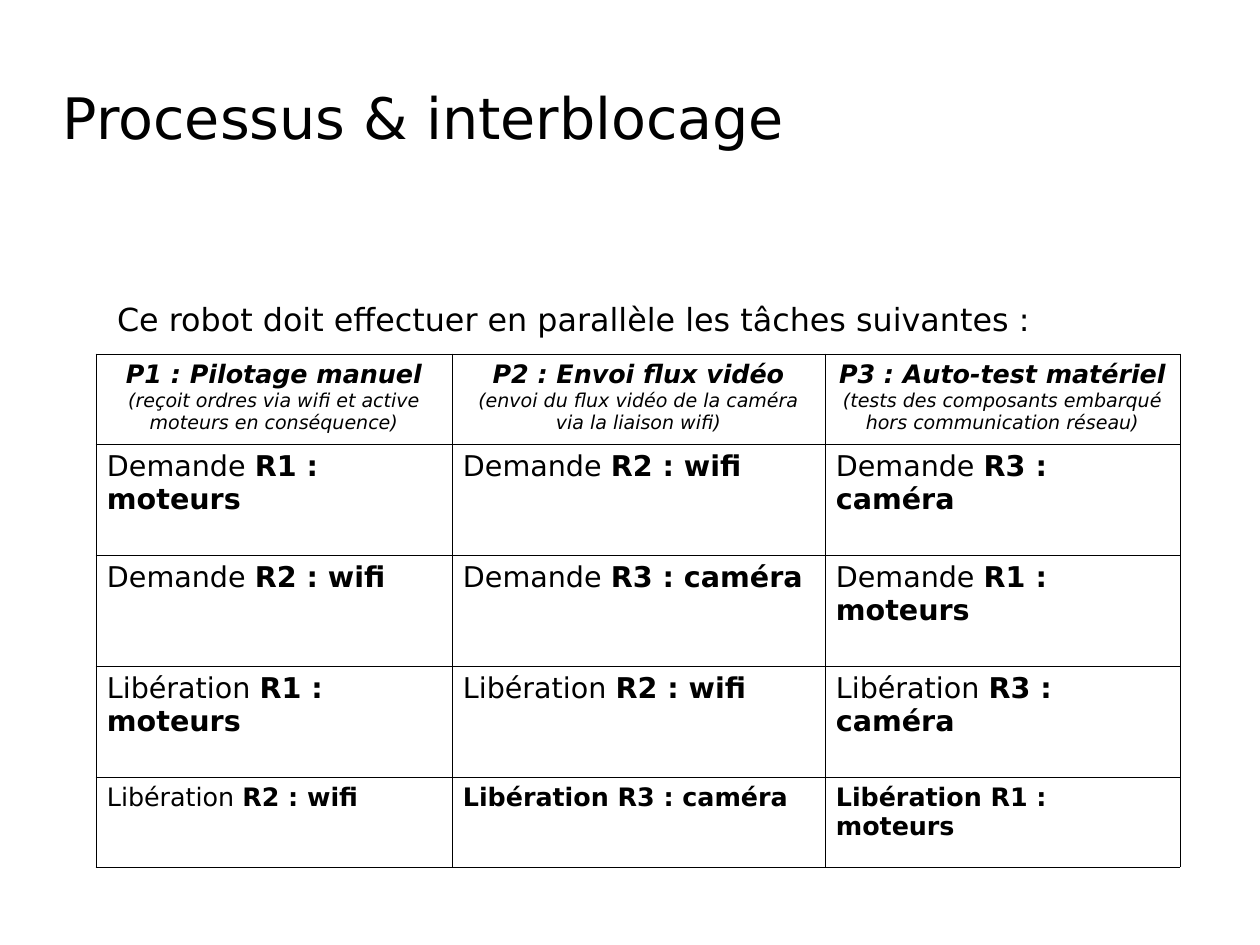
import pptx
import pptx.dml.color
import pptx.enum.text
import pptx.oxml
import pptx.oxml.ns
import pptx.util

PX = 8000
BLACK = pptx.dml.color.RGBColor(0, 0, 0)
WHITE = pptx.dml.color.RGBColor(255, 255, 255)
FONT = "DejaVu Sans"
ALIGN = pptx.enum.text.PP_ALIGN
ANCHOR = pptx.enum.text.MSO_ANCHOR
BORDER_WIDTH = pptx.util.Pt(0.57)

RESOURCES = {"R1": "R1 : moteurs", "R2": "R2 : wifi", "R3": "R3 : caméra"}
PROCESSES = [
    ("P1 : Pilotage manuel", "(reçoit ordres via wifi et active moteurs en conséquence)"),
    ("P2 : Envoi flux vidéo", "(envoi du flux vidéo de la caméra via la liaison wifi)"),
    ("P3 : Auto-test matériel", "(tests des composants embarqué hors communication réseau)"),
]
STEPS = [
    ("Demande ", ["R1", "R2", "R3"], 18, [False, False, False]),
    ("Demande ", ["R2", "R3", "R1"], 18, [False, False, False]),
    ("Libération ", ["R1", "R2", "R3"], 18, [False, False, False]),
    ("Libération ", ["R2", "R3", "R1"], 16, [False, True, True]),
]
COLUMN_WIDTHS = [356, 373, 355]
ROW_HEIGHTS = [90, 111, 111, 111, 90]


def px(length):
    return pptx.util.Emu(length * PX)


def write(para, text, size=18, bold=False, italic=False, color=BLACK):
    span = para.add_run()
    span.text = text
    span.font.name = FONT
    span.font.size = pptx.util.Pt(size)
    span.font.bold = bold
    span.font.italic = italic
    span.font.color.rgb = color


class Page:
    def __init__(self, deck):
        self.slide = deck.slides.add_slide(deck.slide_layouts[1])

    def place(self, box, left, top, width, height, anchor):
        box.left, box.top, box.width, box.height = map(px, (left, top, width, height))
        frame = box.text_frame
        frame.margin_left = frame.margin_top = frame.margin_right = frame.margin_bottom = 0
        frame.word_wrap = True
        frame.auto_size = pptx.enum.text.MSO_AUTO_SIZE.NONE
        frame.vertical_anchor = anchor
        para = frame.paragraphs[0]
        para.alignment = ALIGN.LEFT
        para.space_before = pptx.util.Pt(0)
        return para

    def title(self, text, left, top, width, height):
        para = self.place(self.slide.shapes.title, left, top, width, height, ANCHOR.MIDDLE)
        write(para, text, size=36)

    def body(self, text, left, top, width, height, indent):
        para = self.place(self.slide.placeholders[1], left, top, width, height, ANCHOR.TOP)
        properties = para._p.get_or_add_pPr()
        properties.set("marL", str(px(indent)))
        properties.set("indent", "0")
        pptx.oxml.ns.qn("a:buNone")
        properties.append(pptx.oxml.parse_xml(
            '<a:buNone xmlns:a="http://schemas.openxmlformats.org/drawingml/2006/main"/>'))
        write(para, text, size=20)

    def table(self, left, top, widths, heights):
        frame = self.slide.shapes.add_table(
            len(heights), len(widths), px(left), px(top), px(sum(widths)), px(sum(heights)))
        table = frame.table
        table.first_row = table.horz_banding = False
        for column, width in zip(table.columns, widths):
            column.width = px(width)
        for row, height in zip(table.rows, heights):
            row.height = px(height)
        for cell in table.iter_cells():
            self.frame_cell(cell)
        return table

    def frame_cell(self, cell):
        cell.margin_left = cell.margin_right = px(11)
        cell.margin_top = cell.margin_bottom = px(6)
        cell.fill.solid()
        cell.fill.fore_color.rgb = WHITE
        properties = cell._tc.get_or_add_tcPr()
        for index, side in enumerate(("lnL", "lnR", "lnT", "lnB")):
            properties.insert(index, pptx.oxml.parse_xml(
                f'<a:{side} xmlns:a="http://schemas.openxmlformats.org/drawingml/2006/main" '
                f'w="{BORDER_WIDTH}"><a:solidFill><a:srgbClr val="{BLACK}"/></a:solidFill></a:{side}>'))


def main():
    deck = pptx.Presentation()
    deck.slide_width, deck.slide_height = px(1260), px(945)
    page = Page(deck)
    page.title("Processus & interblocage", 63, 72, 900, 90)
    page.body("Ce robot doit effectuer en parallèle les tâches suivantes :", 63, 300, 1134, 40, 54)

    table = page.table(96, 354, COLUMN_WIDTHS, ROW_HEIGHTS)
    for column, (name, task) in enumerate(PROCESSES):
        frame = table.cell(0, column).text_frame
        heading, detail = frame.paragraphs[0], frame.add_paragraph()
        heading.alignment = detail.alignment = ALIGN.CENTER
        write(heading, name, size=16, bold=True, italic=True)
        write(detail, task, size=12, italic=True)
    for row, (action, keys, size, bold_actions) in enumerate(STEPS, start=1):
        for column, (key, bold_action) in enumerate(zip(keys, bold_actions)):
            para = table.cell(row, column).text_frame.paragraphs[0]
            write(para, action, size=size, bold=bold_action)
            write(para, RESOURCES[key], size=size, bold=True)

    deck.save("out.pptx")


if __name__ == "__main__":
    main()
